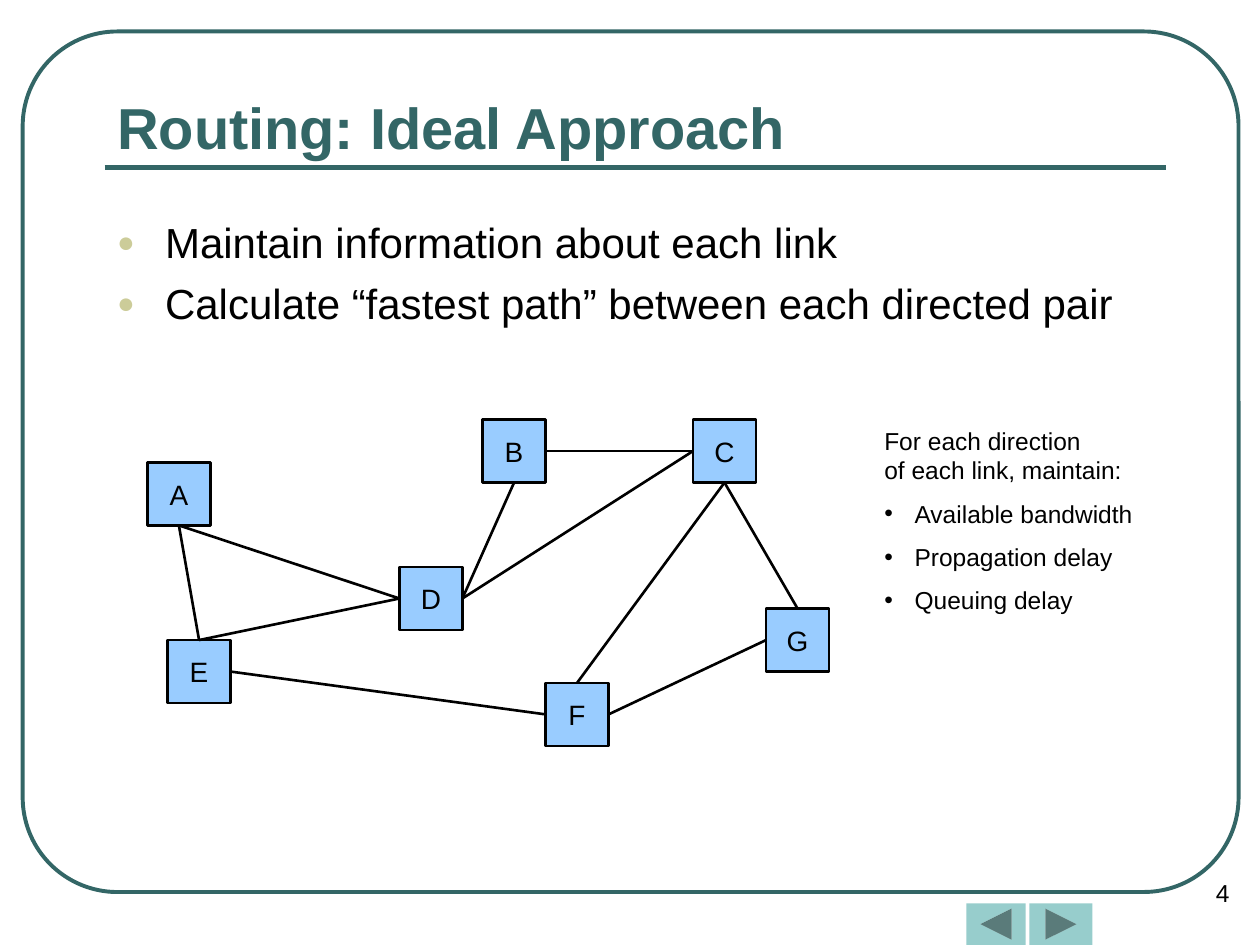
from dataclasses import dataclass

from lxml import etree
from pptx import Presentation
from pptx.dml.color import RGBColor
from pptx.enum.shapes import MSO_CONNECTOR, MSO_SHAPE
from pptx.enum.text import MSO_ANCHOR, MSO_AUTO_SIZE, PP_ALIGN
from pptx.oxml.ns import qn
from pptx.util import Inches, Pt

STRAIGHT = MSO_CONNECTOR.STRAIGHT
RECTANGLE = MSO_SHAPE.RECTANGLE
ROUNDED = MSO_SHAPE.ROUNDED_RECTANGLE
FORWARD = MSO_SHAPE.ACTION_BUTTON_FORWARD_OR_NEXT
BACK = MSO_SHAPE.ACTION_BUTTON_BACK_OR_PREVIOUS
LEFT, CENTER = PP_ALIGN.LEFT, PP_ALIGN.CENTER
TOP, MIDDLE, BOTTOM = MSO_ANCHOR.TOP, MSO_ANCHOR.MIDDLE, MSO_ANCHOR.BOTTOM
NO_AUTOFIT = MSO_AUTO_SIZE.NONE
SITE_TOP, SITE_LEFT, SITE_BOTTOM, SITE_RIGHT = range(4)


@dataclass(frozen=True)
class Theme:
    """Colours, font and type sizes of the slide."""

    font: str = "Arial"
    accent: str = "336666"
    button: str = "97CDCC"
    bullet: str = "CCCC99"
    node: str = "99CCFF"
    ink: str = "000000"
    title_size: int = 33
    body_size: int = 24
    node_size: int = 16
    note_size: int = 14


THEME = Theme()
NODE_SIZE = 0.5
NODES = {
    "A": (1.17, 3.67),
    "B": (3.83, 3.33),
    "C": (5.5, 3.33),
    "D": (3.17, 4.5),
    "E": (1.33, 5.08),
    "F": (4.33, 5.42),
    "G": (6.08, 4.83),
}
LINKS = [
    ("A", SITE_BOTTOM, "D", SITE_LEFT),
    ("B", SITE_BOTTOM, "D", SITE_RIGHT),
    ("B", SITE_RIGHT, "C", SITE_LEFT),
    ("E", SITE_TOP, "D", SITE_LEFT),
    ("E", SITE_TOP, "A", SITE_BOTTOM),
    ("E", SITE_RIGHT, "F", SITE_LEFT),
    ("G", SITE_TOP, "C", SITE_BOTTOM),
    ("F", SITE_RIGHT, "G", SITE_LEFT),
    ("C", SITE_BOTTOM, "F", SITE_TOP),
    ("C", SITE_LEFT, "D", SITE_RIGHT),
]
BODY = [
    "Maintain information about each link",
    "Calculate “fastest path” between each directed pair",
]
NOTE_HEADING = "For each direction\nof each link, maintain:"
NOTE_ITEMS = ["Available bandwidth", "Propagation delay", "Queuing delay"]


def color(value):
    """Return the colour object for a hex value."""
    return RGBColor.from_string(value)


def format_paragraph(paragraph, size, ink=THEME.ink, bold=False, align=LEFT, before=0):
    """Set the font, alignment and spacing of a paragraph."""
    paragraph.alignment = align
    paragraph.space_before = Pt(before)
    font = paragraph.font
    font.name, font.size, font.bold = THEME.font, Pt(size), bold
    font.color.rgb = color(ink)


def add_bullet(paragraph, character, indent, ink=THEME.ink, percent=100):
    """Give a paragraph a hanging bullet."""
    properties = paragraph._p.get_or_add_pPr()
    properties.set("marL", str(Inches(indent)))
    properties.set("indent", str(-Inches(indent)))
    bullet_color = etree.SubElement(properties, qn("a:buClr"))
    etree.SubElement(bullet_color, qn("a:srgbClr"), val=ink)
    etree.SubElement(properties, qn("a:buSzPct"), val=str(percent * 1000))
    etree.SubElement(properties, qn("a:buFont"), typeface=THEME.font)
    etree.SubElement(properties, qn("a:buChar"), char=character)


def place(shape, left, top, width, height):
    """Move and size a shape, in inches."""
    shape.left, shape.top = Inches(left), Inches(top)
    shape.width, shape.height = Inches(width), Inches(height)


def add_shape(slide, kind, box, fill=None, line=None, weight=1.5):
    """Add a flat preset shape."""
    shape = slide.shapes.add_shape(kind, *map(Inches, box))
    shape.shadow.inherit = False
    if fill:
        shape.fill.solid()
        shape.fill.fore_color.rgb = color(fill)
    else:
        shape.fill.background()
    if line:
        shape.line.color.rgb = color(line)
        shape.line.width = Pt(weight)
    else:
        shape.line.fill.background()
    return shape


def add_line(slide, ink, weight, start=(0, 0), end=(0, 0)):
    """Add a straight connector without shadow."""
    points = map(Inches, (*start, *end))
    connector = slide.shapes.add_connector(STRAIGHT, *points)
    connector.line.color.rgb = color(ink)
    connector.line.width = Pt(weight)
    etree.SubElement(connector._element.spPr, qn("a:effectLst"))
    return connector


def add_frame(slide):
    """Add the border, the title rule and the navigation buttons."""
    border = add_shape(slide, ROUNDED, (0.18, 0.25, 9.65, 6.83), line=THEME.accent, weight=2.25)
    border.adjustments[0] = 0.11
    add_line(slide, THEME.accent, 3, (0.83, 1.33), (9.25, 1.33))
    add_shape(slide, FORWARD, (8.17, 7.17, 0.5, 0.33), fill=THEME.button)
    add_shape(slide, BACK, (7.67, 7.17, 0.47, 0.33), fill=THEME.button)


def add_text_box(slide, box):
    """Add a wrapping text box and return its text frame."""
    frame = slide.shapes.add_textbox(*map(Inches, box)).text_frame
    frame.word_wrap = True
    return frame


def fill_title(title):
    """Place and write the title."""
    place(title, 0.83, 0.58, 8.42, 0.75)
    frame = title.text_frame
    frame.text = "Routing: Ideal Approach"
    frame.vertical_anchor, frame.auto_size = BOTTOM, NO_AUTOFIT
    format_paragraph(frame.paragraphs[0], THEME.title_size, THEME.accent, bold=True)


def fill_body(body):
    """Place and write the bulleted list."""
    place(body, 0.83, 1.67, 8.42, 1.16)
    frame = body.text_frame
    frame.text = "\n".join(BODY)
    frame.vertical_anchor, frame.auto_size = TOP, NO_AUTOFIT
    for paragraph in frame.paragraphs:
        add_bullet(paragraph, "●", 0.38, THEME.bullet, 70)
        format_paragraph(paragraph, THEME.body_size, before=6)


def add_network(slide):
    """Add the nodes and the links between them."""
    nodes = {}
    for name, corner in NODES.items():
        box = (*corner, NODE_SIZE, NODE_SIZE)
        node = nodes[name] = add_shape(slide, RECTANGLE, box, THEME.node, THEME.ink)
        frame = node.text_frame
        frame.text = name
        frame.word_wrap, frame.vertical_anchor = False, MIDDLE
        format_paragraph(frame.paragraphs[0], THEME.node_size, align=CENTER)
    for first, first_site, second, second_site in LINKS:
        link = add_line(slide, THEME.ink, 1.5)
        link.begin_connect(nodes[first], first_site)
        link.end_connect(nodes[second], second_site)


def add_note(slide):
    """Add the list of values kept for each link."""
    frame = add_text_box(slide, (6.92, 3.33, 2.17, 1.63))
    heading = frame.paragraphs[0]
    heading.text = NOTE_HEADING
    format_paragraph(heading, THEME.note_size, before=8)
    for item in NOTE_ITEMS:
        paragraph = frame.add_paragraph()
        paragraph.text = item
        add_bullet(paragraph, "•", 0.24)
        format_paragraph(paragraph, THEME.note_size, before=8)


def add_page_number(slide):
    """Add the page number."""
    frame = add_text_box(slide, (8.83, 6.92, 1.75, 0.33))
    frame.text = "4"
    format_paragraph(frame.paragraphs[0], THEME.note_size, align=CENTER)


def main():
    """Build and save the slide."""
    presentation = Presentation()
    presentation.slide_width, presentation.slide_height = Inches(10), Inches(7.5)
    slide = presentation.slides.add_slide(presentation.slide_layouts[1])
    add_frame(slide)
    fill_title(slide.shapes.title)
    fill_body(slide.placeholders[1])
    add_network(slide)
    add_note(slide)
    add_page_number(slide)
    presentation.save("out.pptx")


main()
